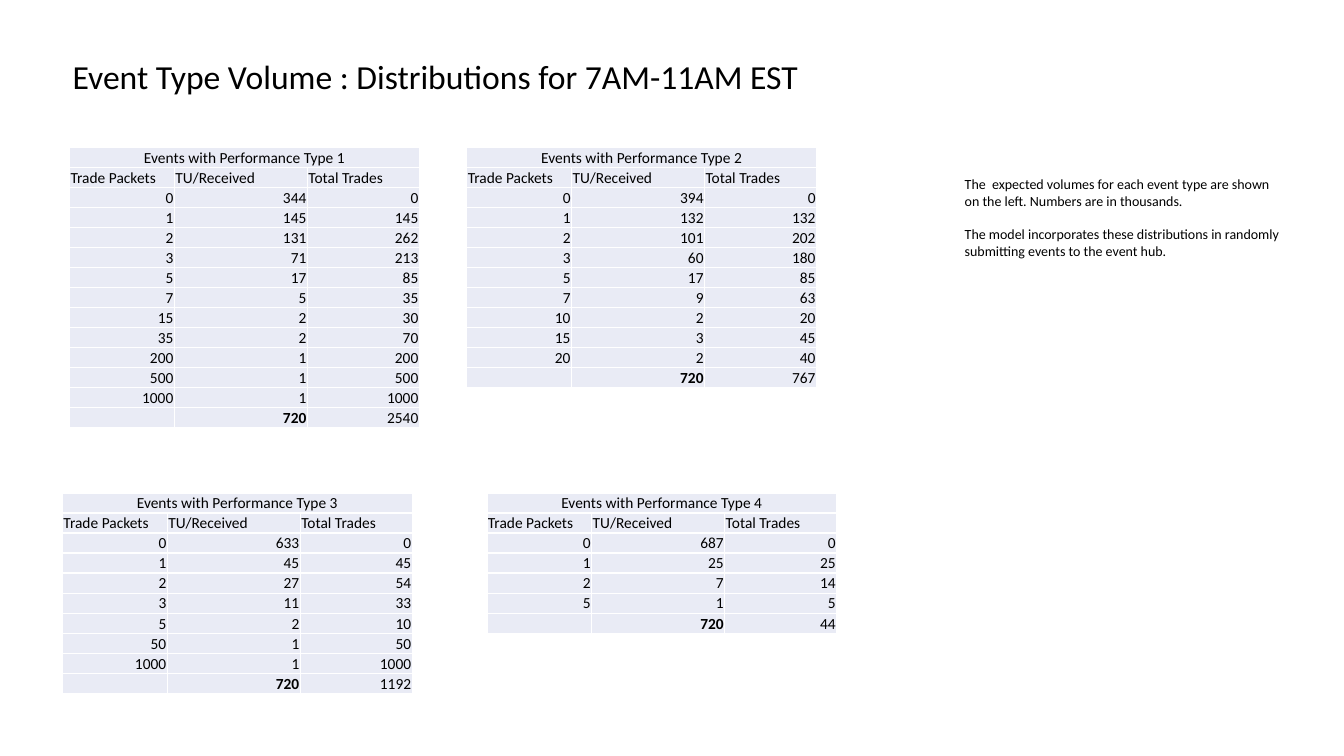
import pptx
import pptx.dml.color
import pptx.enum.text
import pptx.util
from lxml import etree
from pptx.oxml.ns import qn

SLIDE_W, SLIDE_H = 13.33, 7.5
FONT = "Calibri"
BLACK, WHITE, PALE = "000000", "FFFFFF", "E9EBF5"
ALIGN = pptx.enum.text.PP_ALIGN
ANCHOR = pptx.enum.text.MSO_ANCHOR
AUTO = pptx.enum.text.MSO_AUTO_SIZE

# Table grid, in percent of the slide's width and height
COLUMNS = (7.8, 9.9, 8.33)
ROW = 2.64
HEADINGS = ("Trade Packets", "TU/Received", "Total Trades")

# Left, top, then (trade packets, TU received) for each performance type
EVENT_TYPES = (
    (5.18, 19.47, ((0, 344), (1, 145), (2, 131), (3, 71), (5, 17), (7, 5),
                   (15, 2), (35, 2), (200, 1), (500, 1), (1000, 1))),
    (34.73, 19.47, ((0, 394), (1, 132), (2, 101), (3, 60), (5, 17), (7, 9),
                    (10, 2), (15, 3), (20, 2))),
    (4.65, 65.2, ((0, 633), (1, 45), (2, 27), (3, 11), (5, 2), (50, 1),
                  (1000, 1))),
    (36.23, 65.2, ((0, 687), (1, 25), (2, 7), (5, 1))),
)

# Lines of the note, grouped by paragraph
NOTE = (
    ("The  expected volumes for each event type are shown",
     "on the left. Numbers are in thousands."),
    ("The model incorporates these distributions in randomly",
     "submitting events to the event hub."),
)


def across(percent):
    return pptx.util.Inches(SLIDE_W * percent / 100)


def down(percent):
    return pptx.util.Inches(SLIDE_H * percent / 100)


def box(left, top, width, height):
    return across(left), down(top), across(width), down(height)


def color(value):
    return pptx.dml.color.RGBColor.from_string(value)


def add_run(p, text, size, bold=False):
    r = p.add_run()
    r.text = text
    r.font.name = FONT
    r.font.size = pptx.util.Pt(size)
    r.font.bold = bold
    r.font.color.rgb = color(BLACK)


def add_title(s, text):
    sp = s.shapes.title
    sp.left, sp.top, sp.width, sp.height = box(4.65, 6.67, 66.62, 6.67)
    tf = sp.text_frame
    tf.word_wrap = True
    tf.auto_size = AUTO.NONE
    tf.vertical_anchor = ANCHOR.TOP
    p = tf.paragraphs[0]
    p.alignment = ALIGN.LEFT
    add_run(p, text, 24)


def add_note(s, groups):
    tf = s.shapes.add_textbox(*box(71.04, 22.53, 25.28, 12.53)).text_frame
    tf.word_wrap = False
    tf.auto_size = AUTO.SHAPE_TO_FIT_TEXT
    p = tf.paragraphs[0]
    for g, lines in enumerate(groups):
        for i, line in enumerate(lines):
            if g or i:
                p = tf.add_paragraph()
            if g and i == 0:
                p.space_before = pptx.util.Pt(12)
            add_run(p, line, 10)


def style_cell(cell, anchor):
    # Borders go before the fill in the cell's properties
    tcPr = cell._tc.get_or_add_tcPr()
    for side in ("a:lnL", "a:lnR", "a:lnT", "a:lnB"):
        ln = etree.SubElement(tcPr, qn(side), w=str(pptx.util.Pt(1)))
        fill = etree.SubElement(ln, qn("a:solidFill"))
        etree.SubElement(fill, qn("a:srgbClr"), val=WHITE)
    cell.fill.solid()
    cell.fill.fore_color.rgb = color(PALE)
    cell.margin_left = cell.margin_right = pptx.util.Inches(0.01)
    cell.margin_top = pptx.util.Inches(0.01)
    cell.margin_bottom = 0
    cell.vertical_anchor = anchor


def fill_cell(cell, text, align, anchor=ANCHOR.BOTTOM, bold=False):
    style_cell(cell, anchor)
    p = cell.text_frame.paragraphs[0]
    p.alignment = align
    if text:
        add_run(p, text, 11, bold)
    else:
        # Keeps an empty cell from stretching its row
        etree.SubElement(p._p, qn("a:endParaRPr"), sz="1100")


def add_event_table(s, number, left, top, volumes):
    body = [(packets, received, packets * received)
            for packets, received in volumes]
    totals = ("", sum(row[1] for row in body), sum(row[2] for row in body))
    rows = [HEADINGS, *body, totals]
    count = len(rows) + 1
    table = s.shapes.add_table(
        count, len(COLUMNS), *box(left, top, sum(COLUMNS), ROW * count)).table
    table.first_row = table.horz_banding = False
    for column, width in zip(table.columns, COLUMNS):
        column.width = across(width)
    for row in table.rows:
        row.height = down(ROW)

    # Heading across all columns
    heading = table.cell(0, 0)
    heading.merge(table.cell(0, len(COLUMNS) - 1))
    fill_cell(heading, f"Events with Performance Type {number}",
              ALIGN.CENTER, ANCHOR.MIDDLE)
    for c in range(1, len(COLUMNS)):
        style_cell(table.cell(0, c), ANCHOR.MIDDLE)

    # Column names, volumes and totals
    for i, values in enumerate(rows, start=1):
        align = ALIGN.LEFT if values is HEADINGS else ALIGN.RIGHT
        for c, value in enumerate(values):
            fill_cell(table.cell(i, c), str(value), align,
                      bold=values is totals and c == 1)


def main():
    prs = pptx.Presentation()
    prs.slide_width, prs.slide_height = across(100), down(100)
    s = prs.slides.add_slide(prs.slide_layouts.get_by_name("Title Only"))
    add_title(s, "Event Type Volume : Distributions for 7AM-11AM EST")
    for number, (left, top, volumes) in enumerate(EVENT_TYPES, start=1):
        add_event_table(s, number, left, top, volumes)
    add_note(s, NOTE)
    prs.save("out.pptx")


if __name__ == "__main__":
    main()
